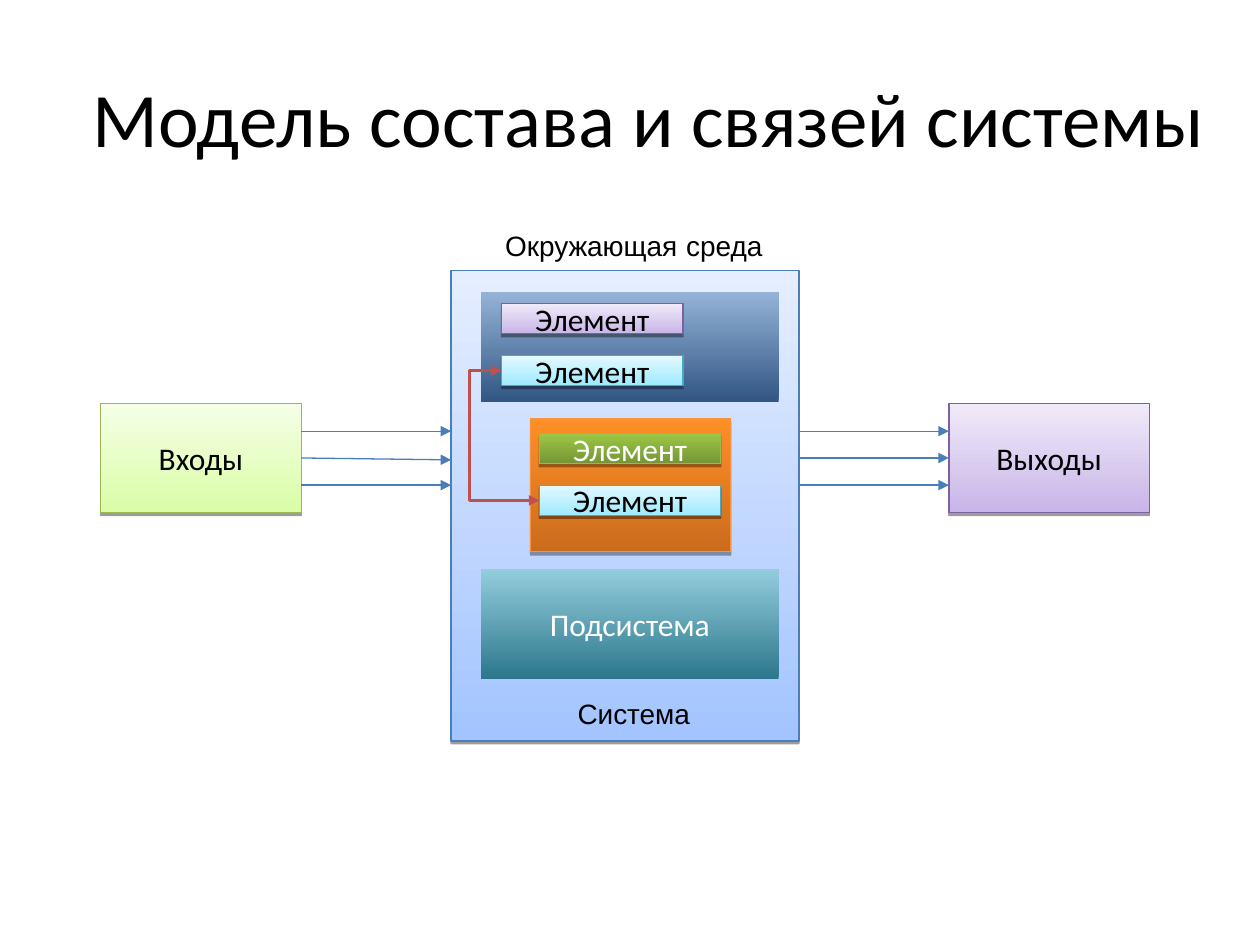
from lxml.etree import SubElement
from pptx import Presentation
from pptx.dml.color import RGBColor
from pptx.enum.shapes import MSO_CONNECTOR as CONN, MSO_SHAPE as SHAPE
from pptx.enum.text import MSO_ANCHOR as ANCHOR, PP_ALIGN as ALIGN
from pptx.oxml.ns import qn
from pptx.util import Pt

BLACK = RGBColor(0x00, 0x00, 0x00)
WHITE = RGBColor(0xFF, 0xFF, 0xFF)
ARROW = RGBColor(0x4A, 0x7E, 0xBB)
LINK = RGBColor(0xC0, 0x50, 0x4D)
VIOLET_LINE = RGBColor(0x7D, 0x60, 0xA0)
LIME_LINE = RGBColor(0x98, 0xB9, 0x54)
CYAN_LINE = RGBColor(0x46, 0xAA, 0xC5)
ORANGE_LINE = RGBColor(0xF6, 0x92, 0x40)

# Gradients as (bottom, top)
LIME = RGBColor(0xDA, 0xFD, 0xA7), RGBColor(0xF5, 0xFF, 0xE6)
VIOLET = RGBColor(0xC9, 0xB5, 0xE8), RGBColor(0xF0, 0xEA, 0xF9)
SKY = RGBColor(0xA3, 0xC4, 0xFF), RGBColor(0xE5, 0xEE, 0xFF)
NAVY = RGBColor(0x31, 0x56, 0x83), RGBColor(0x95, 0xB3, 0xD7)
ORANGE = RGBColor(0xCB, 0x6C, 0x1D), RGBColor(0xFF, 0x8F, 0x26)
TEAL = RGBColor(0x2C, 0x77, 0x8B), RGBColor(0x93, 0xCD, 0xDD)
CYAN = RGBColor(0x9E, 0xEA, 0xFF), RGBColor(0xE4, 0xF9, 0xFF)
GREEN = RGBColor(0x76, 0x95, 0x35), RGBColor(0x9C, 0xC7, 0x46)

# Shadows as (offset in points, opacity in percent)
SOFT = 1.6, 38
DEEP = 1.8, 35


def write(tf, *runs, size=18, font="Calibri", color=BLACK, anchor=ANCHOR.MIDDLE):
    """Fill a frame with one centred line; a run is text or (text, size)."""
    tf.word_wrap = True
    tf.vertical_anchor = anchor
    p = tf.paragraphs[0]
    p.alignment = ALIGN.CENTER
    for run in runs:
        text, run_size = (run, size) if isinstance(run, str) else run
        r = p.add_run()
        r.text = text
        r.font.size = Pt(run_size)
        r.font.name = font
        r.font.color.rgb = color


class Diagram:
    def __init__(self, slide):
        self.s = slide
        self.line_width = 0.75

    def label(self, x, y, w, h, *runs, **style):
        sp = self.s.shapes.add_textbox(Pt(x), Pt(y), Pt(w), Pt(h))
        write(sp.text_frame, *runs, **style)

    def box(self, x, y, w, h, colors, line=None, shadow=None, text=None, **style):
        sp = self.s.shapes.add_shape(
            SHAPE.FLOWCHART_PROCESS, Pt(x), Pt(y), Pt(w), Pt(h))
        sp.fill.gradient()
        sp.fill.gradient_angle = 90
        for stop, color in zip(sp.fill.gradient_stops, colors):
            stop.color.rgb = color
        if line is None:
            sp.line.fill.background()
        else:
            sp.line.color.rgb = line
            sp.line.width = Pt(self.line_width)
        sp.shadow.inherit = False
        if shadow:
            self.drop_shadow(sp, *shadow)
        if text:
            write(sp.text_frame, text, **style)
        return sp

    def drop_shadow(self, sp, offset, opacity):
        effects = sp._element.spPr.find(qn("a:effectLst"))
        outer = SubElement(effects, qn("a:outerShdw"), blurRad="0",
                           dist=str(Pt(offset)), dir="5400000", rotWithShape="0")
        color = SubElement(outer, qn("a:srgbClr"), val="000000")
        SubElement(color, qn("a:alpha"), val=str(opacity * 1000))

    def arrow(self, x1, y1, x2, y2, color=ARROW, width=None,
              kind=CONN.STRAIGHT, ends=("tailEnd",)):
        c = self.s.shapes.add_connector(kind, Pt(x1), Pt(y1), Pt(x2), Pt(y2))
        c.line.color.rgb = color
        c.line.width = Pt(width or self.line_width)
        spPr = c._element.spPr
        for end in ends:
            SubElement(spPr.find(qn("a:ln")), qn(f"a:{end}"), type="triangle")
        SubElement(spPr, qn("a:effectLst"))
        return c

    def elbow(self, x1, y1, x2, y2, lane, **style):
        """Bent two-headed arrow whose vertical part runs at x = lane."""
        c = self.arrow(x1, y1, x2, y2, kind=CONN.ELBOW,
                       ends=("headEnd", "tailEnd"), **style)
        geom = c._element.spPr.find(qn("a:prstGeom"))
        guides = geom.find(qn("a:avLst"))
        if guides is None:
            guides = SubElement(geom, qn("a:avLst"))
        ratio = round((lane - x1) / (x2 - x1) * 100000)
        SubElement(guides, qn("a:gd"), name="adj1", fmla=f"val {ratio}")


def main():
    prs = Presentation()
    prs.slide_width, prs.slide_height = Pt(720), Pt(540)
    d = Diagram(prs.slides.add_slide(prs.slide_layouts[6]))

    # Title
    d.label(36, 21.6, 669.6, 90, "Модель состава и связей системы", size=44)

    # Inputs, outputs and the system
    in_x, out_x, io_y, io_w, io_h = 57.6, 542.2, 230.4, 114.5, 62.6
    sys_x, sys_w = 257.8, 198.7
    inputs = d.box(in_x, io_y, io_w, io_h, LIME, LIME_LINE, SOFT, "Входы")
    outputs = d.box(out_x, io_y, io_w, io_h, VIOLET, VIOLET_LINE, SOFT, "Выходы")
    d.box(sys_x, 154.8, sys_w, 268.6, SKY, ARROW, SOFT)
    d.label(182.2, 125.3, 360, 28.8, "Окружающая", (" ", 18), "среда",
            size=16, font="Arial", anchor=ANCHOR.TOP)

    # Flows into and out of the system
    in_right, sys_right = in_x + io_w, sys_x + sys_w
    mid_y = io_y + io_h / 2
    d.arrow(in_right, mid_y, sys_x, 262.8).begin_connect(inputs, 3)
    d.arrow(sys_right, mid_y, out_x, mid_y).end_connect(outputs, 1)
    for y in (246.4, 277.2):
        d.arrow(in_right, y, sys_x, y)
        d.arrow(sys_right, y, out_x, y)

    # Subsystems
    d.box(275, 167, 169.9, 62.6, NAVY)
    d.box(303.1, 239, 114.5, 76.3, ORANGE, ORANGE_LINE, DEEP)
    d.box(275, 325.4, 169.9, 62.6, TEAL, text="Подсистема", color=WHITE)
    d.label(272.2, 394.6, 180, 26.6, "Система",
            size=16, font="Arial", anchor=ANCHOR.TOP)

    # Elements: two in each of the upper subsystems
    el_w, el_h, step = 103.7, 17.3, 29.6
    upper_x, upper_y, lower_x, lower_y = 286.6, 173.5, 308.2, 247.7
    for x, y, colors, line, shadow, color in (
        (upper_x, upper_y, VIOLET, VIOLET_LINE, SOFT, BLACK),
        (upper_x, upper_y + step, CYAN, CYAN_LINE, SOFT, BLACK),
        (lower_x, lower_y, GREEN, LIME_LINE, DEEP, WHITE),
        (lower_x, lower_y + step, CYAN, CYAN_LINE, SOFT, BLACK),
    ):
        d.box(x, y, el_w, el_h, colors, line, shadow, "Элемент", color=color)

    # Link between the two cyan elements
    to_mid = step + el_h / 2
    d.elbow(upper_x, upper_y + to_mid, lower_x, lower_y + to_mid,
            lane=268.3, color=LINK, width=2)

    prs.save("out.pptx")


if __name__ == "__main__":
    main()
